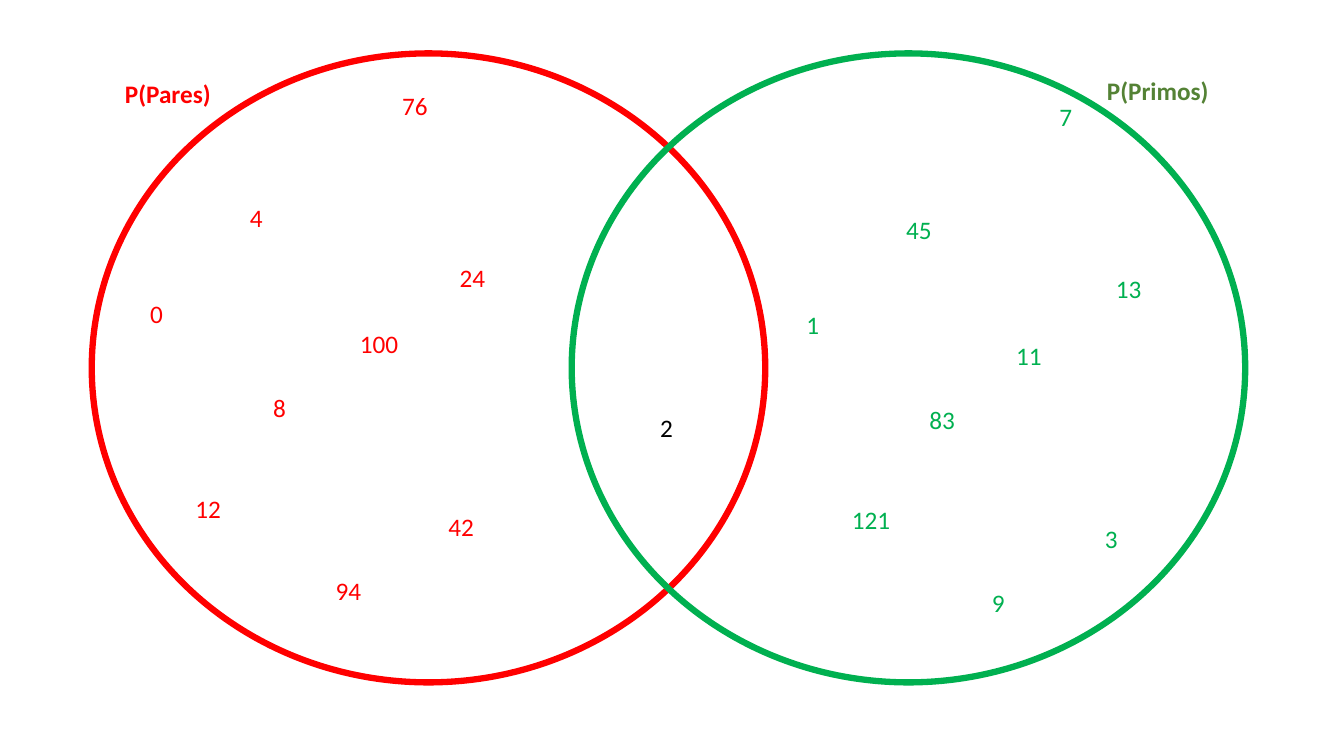
from pptx import Presentation
from pptx.dml.color import RGBColor
from pptx.enum.shapes import MSO_SHAPE
from pptx.enum.text import MSO_AUTO_SIZE
from pptx.util import Inches, Pt

COLORS = {"even": "FF0000", "prime": "00B050", "prime_label": "548235", "shared": "000000"}
CIRCLE_WIDTH, CIRCLE_HEIGHT = 6.68, 6.24
EVEN_BOX = (0.91, 0.53)
PRIME_BOX = (5.67, 0.53)
LABEL_WIDTH = 1.68

EVEN_NUMBERS = [
    ("4", 1.47, 1.43), ("8", 1.7, 3.31), ("24", 3.55, 2.02),
    ("42", 3.44, 4.49), ("100", 2.56, 2.68), ("0", 0.48, 2.38),
    ("12", 0.93, 4.31), ("94", 2.32, 5.13), ("76", 2.98, 0.32),
]
PRIME_NUMBERS = [
    ("45", 3.22, 1.55), ("83", 3.45, 3.43), ("13", 5.3, 2.13),
    ("3", 5.19, 4.61), ("11", 4.31, 2.8), ("1", 2.23, 2.49),
    ("121", 2.68, 4.42), ("9", 4.07, 5.25), ("7", 4.74, 0.43),
]
SHARED_NUMBERS = [("2", 0.78, 3.51)]


def add_circle(slide, box, color):
    left, top = box
    circle = slide.shapes.add_shape(
        MSO_SHAPE.OVAL, Inches(left), Inches(top),
        Inches(CIRCLE_WIDTH), Inches(CIRCLE_HEIGHT))
    circle.shadow.inherit = False
    circle.fill.background()
    circle.line.color.rgb = RGBColor.from_string(COLORS[color])
    circle.line.width = Pt(4.5)


def add_text(slide, wording, left, top, width, color, bold=False):
    frame = slide.shapes.add_textbox(
        Inches(left), Inches(top), Inches(width), Inches(0.4)).text_frame
    frame.word_wrap = True
    frame.auto_size = MSO_AUTO_SIZE.SHAPE_TO_FIT_TEXT
    paragraph = frame.paragraphs[0]
    paragraph.text = wording
    paragraph.font.name = "Calibri"
    paragraph.font.size = Pt(18)
    paragraph.font.bold = bold
    paragraph.font.color.rgb = RGBColor.from_string(COLORS[color])


def add_label(slide, box, wording, dx, dy, color):
    left, top = box
    add_text(slide, wording, left + dx, top + dy, LABEL_WIDTH, color, bold=True)


def add_numbers(slide, box, numbers, color):
    left, top = box
    for number, dx, dy in numbers:
        width = 0.74 if len(number) == 3 else 0.46
        add_text(slide, number, left + dx, top + dy, width, color)


def build_venn_slide(presentation):
    slide = presentation.slides.add_slide(presentation.slide_layouts[6])
    add_circle(slide, EVEN_BOX, "even")
    add_circle(slide, PRIME_BOX, "prime")
    add_label(slide, EVEN_BOX, "P(Pares)", 0.23, 0.2, "even")
    add_label(slide, PRIME_BOX, "P(Primos)", 5.21, 0.17, "prime_label")
    add_numbers(slide, EVEN_BOX, EVEN_NUMBERS, "even")
    add_numbers(slide, PRIME_BOX, PRIME_NUMBERS, "prime")
    add_numbers(slide, PRIME_BOX, SHARED_NUMBERS, "shared")


def main():
    presentation = Presentation()
    presentation.slide_width = Inches(13.33)
    presentation.slide_height = Inches(7.5)
    build_venn_slide(presentation)
    presentation.save("out.pptx")


if __name__ == "__main__":
    main()
